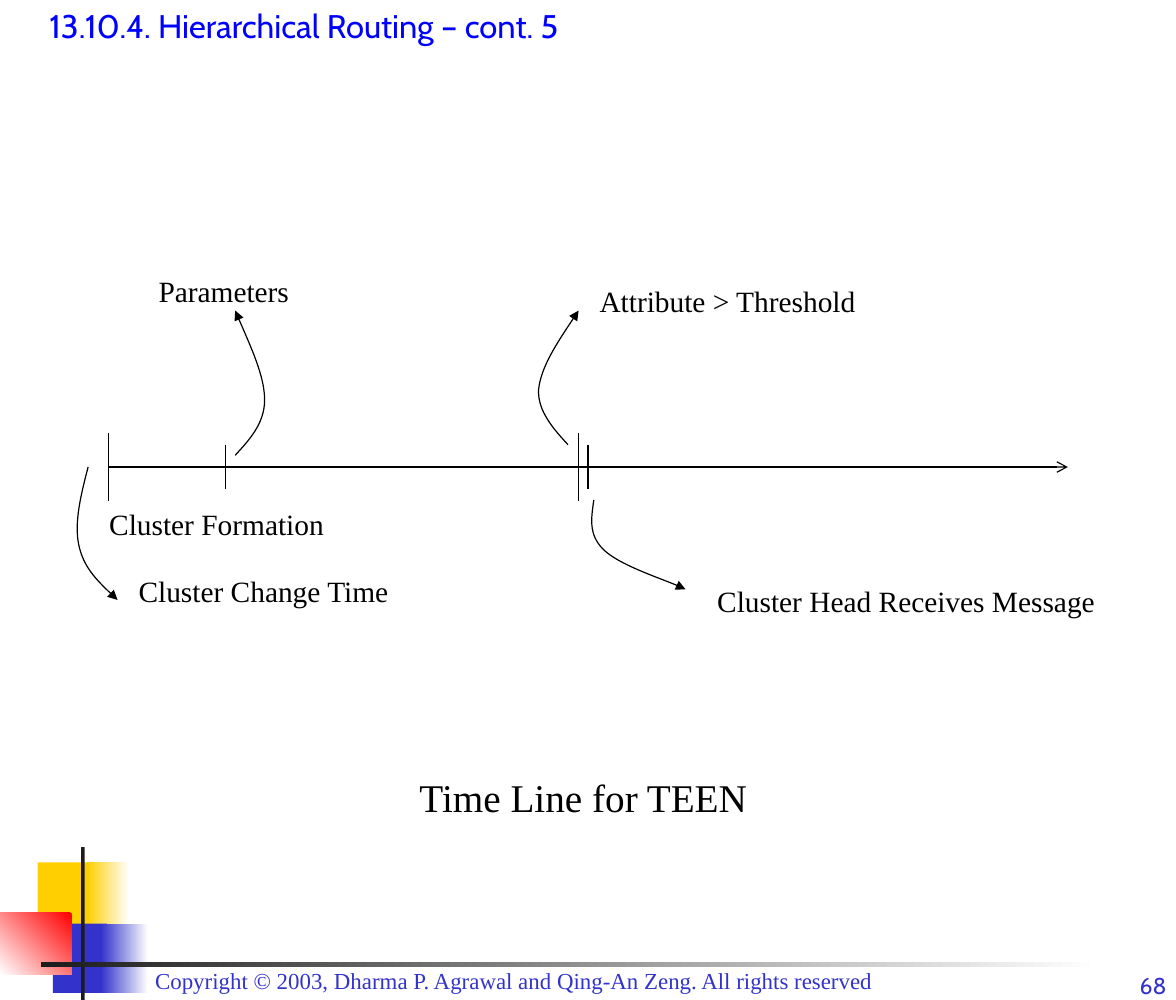
from pptx import Presentation
from pptx.dml.color import RGBColor
from pptx.enum.shapes import MSO_CONNECTOR, MSO_SHAPE
from pptx.enum.text import MSO_ANCHOR, MSO_AUTO_SIZE, PP_ALIGN
from pptx.oxml import parse_xml
from pptx.oxml.ns import nsdecls, qn
from pptx.util import Pt

PX = 9144
SERIF, SANS = "Times New Roman", "Cabin"
BLACK, BLUE, DARK, WHITE = "000000", "3333CC", "1C1C1C", "FFFFFF"

DECORATION = [
    (32, 733, 48, 59, ["FFCF01"], 0),
    (74, 733, 36, 59, [WHITE, "FFCF01"], 180),
    (45, 785, 46, 59, [BLUE], 0),
    (86, 785, 40, 59, [WHITE, BLUE], 180),
    (0, 776, 61, 52, ["FF0000", WHITE], 225),
    (69, 720, 3, 130, [DARK], 0),
    (35, 818, 900, 4, [WHITE, DARK], 180),
]
AXIS_Y = 397
TICKS = [(92, 29), (192, 19), (492, 29), (500, 19)]
CURVES = [
    [(75, 397), (69, 420), (63, 444), (67, 463), (71, 482), (85, 496), (100, 510)],
    [(200, 387), (212, 374), (225, 360), (225, 340), (225, 320), (212, 292), (200, 264)],
    [(483, 378), (470, 364), (457, 349), (458, 331), (460, 312), (476, 288), (492, 264)],
    [(505, 425), (503, 440), (500, 454), (513, 467), (526, 480), (572, 495), (583, 501)],
]
LABELS = [
    ("Cluster Formation", 83, 425, 225),
    ("Cluster Change Time", 108, 482, 250),
    ("Parameters", 125, 227, 267),
    ("Cluster Head Receives Message", 600, 491, 358),
    ("Attribute > Threshold", 500, 236, 333),
]


def rgb(color):
    return RGBColor.from_string(color)


def set_line(sp, arrow=None):
    sp.line.color.rgb = rgb(BLACK)
    sp.line.width = Pt(0.75)
    if arrow:
        end = parse_xml(f'<a:tailEnd {nsdecls("a")} type="{arrow}"/>')
        sp.line._get_or_add_ln().append(end)


def add_block(s, x, y, w, h, colors, angle):
    sp = s.shapes.add_shape(MSO_SHAPE.RECTANGLE, x * PX, y * PX, w * PX, h * PX)
    sp.shadow.inherit = False
    sp.line.fill.background()
    if len(colors) == 1:
        sp.fill.solid()
        sp.fill.fore_color.rgb = rgb(colors[0])
        return
    sp.fill.gradient()
    sp.fill.gradient_angle = angle
    for stop, color in zip(sp.fill.gradient_stops, colors):
        stop.color.rgb = rgb(color)


def add_line(s, x1, y1, x2, y2, arrow=None):
    sp = s.shapes.add_connector(
        MSO_CONNECTOR.STRAIGHT, x1 * PX, y1 * PX, x2 * PX, y2 * PX)
    set_line(sp, arrow)
    sp._element.spPr.append(parse_xml(f'<a:effectLst {nsdecls("a")}/>'))


def add_curve(s, points):
    builder = s.shapes.build_freeform(*points[0], scale=PX)
    builder.add_line_segments(points[1:], close=False)
    sp = builder.convert_to_shape()
    sp.shadow.inherit = False
    sp.fill.background()
    set_line(sp, "triangle")
    segments = list(sp._element.iter(qn("a:lnTo")))
    for i in range(0, len(segments), 3):
        bezier = parse_xml(f'<a:cubicBezTo {nsdecls("a")}/>')
        segments[i].addprevious(bezier)
        for segment in segments[i:i + 3]:
            bezier.append(segment[0])
            segment.getparent().remove(segment)


def write(sp, text, box, size, color=BLACK, font=SERIF, align=PP_ALIGN.LEFT, inset=5):
    for name, value in zip(("left", "top", "width", "height"), box):
        setattr(sp, name, value * PX)
    tf = sp.text_frame
    frame = {"word_wrap": True, "auto_size": MSO_AUTO_SIZE.NONE,
             "vertical_anchor": MSO_ANCHOR.TOP,
             "margin_left": 10 * PX, "margin_right": 10 * PX,
             "margin_top": inset * PX, "margin_bottom": inset * PX}
    for name, value in frame.items():
        setattr(tf, name, value)
    p = tf.paragraphs[0]
    p.alignment = align
    r = p.add_run()
    r.text = text
    for name, value in {"name": font, "size": Pt(size)}.items():
        setattr(r.font, name, value)
    r.font.color.rgb = rgb(color)


def add_text(s, text, box, size, **style):
    write(s.shapes.add_textbox(0, 0, 0, 0), text, box, size, **style)


def main():
    prs = Presentation()
    prs.slide_width, prs.slide_height = 1000 * PX, 850 * PX
    s = prs.slides.add_slide(prs.slide_layouts[5])
    write(s.shapes.title, "13.10.4. Hierarchical Routing – cont. 5",
          (32, 0, 782, 44), 20, color="0000FF", font=SANS)
    for block in DECORATION:
        add_block(s, *block)
    add_text(s, "Copyright © 2003, Dharma P. Agrawal and Qing-An Zeng. All rights reserved",
             (122, 817, 758, 34), 14, color=BLUE)
    add_text(s, "68", (922, 826, 80, 27), 14, color=BLUE, font=SANS,
             align=PP_ALIGN.RIGHT, inset=0)
    add_line(s, 92, AXIS_Y, 908, AXIS_Y, "arrow")
    for x, reach in TICKS:
        add_line(s, x, AXIS_Y - reach, x, AXIS_Y + reach)
    for points in CURVES:
        add_curve(s, points)
    for text, x, y, w in LABELS:
        add_text(s, text, (x, y, w, 40), 18)
    add_text(s, "Time Line for TEEN", (100, 652, 792, 50), 24, align=PP_ALIGN.CENTER)
    prs.save("out.pptx")


if __name__ == "__main__":
    main()
